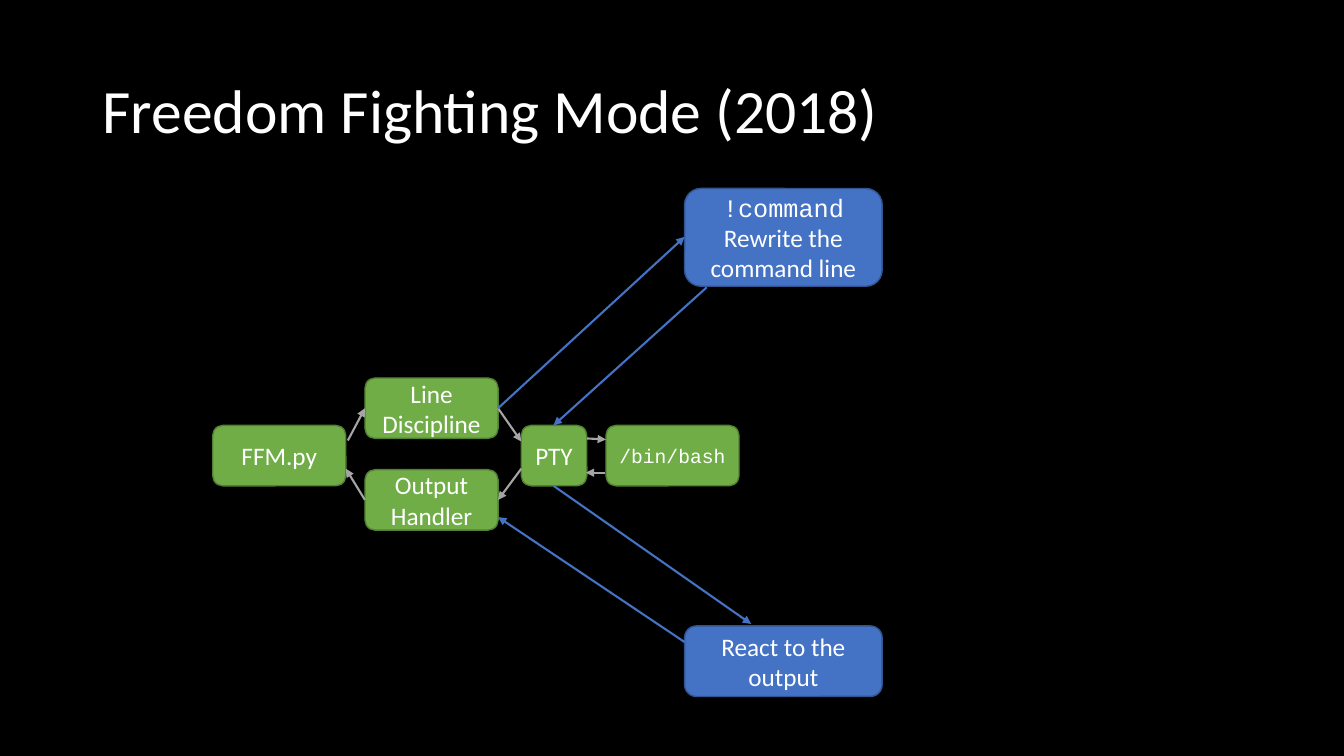
from lxml import etree
from pptx import Presentation
from pptx.dml.color import RGBColor
from pptx.enum.shapes import MSO_CONNECTOR, MSO_SHAPE
from pptx.enum.text import MSO_ANCHOR, PP_ALIGN
from pptx.oxml.ns import qn
from pptx.util import Inches, Pt

ROUND = MSO_SHAPE.ROUNDED_RECTANGLE
LINE = MSO_CONNECTOR.STRAIGHT
MIDDLE = MSO_ANCHOR.MIDDLE
CENTER = PP_ALIGN.CENTER
SANS = "Calibri"
MONO = "Courier New"
COLORS = {
    "black": "000000",
    "white": "FFFFFF",
    "green": "70AD47",
    "green edge": "538035",
    "blue": "4472C4",
    "blue edge": "325491",
    "gray": "A5A5A5",
}


def color(name):
    return RGBColor.from_string(COLORS[name])


def style(para, size, face):
    para.font.size = Pt(size)
    para.font.name = face
    para.font.color.rgb = color("white")


def add_title(slide, text):
    box = slide.shapes.add_textbox(Inches(0.92), Inches(0.4), Inches(11.5), Inches(1.45))
    frame = box.text_frame
    frame.word_wrap = True
    frame.vertical_anchor = MIDDLE
    para = frame.paragraphs[0]
    para.text = text
    para.line_spacing = 0.9
    style(para, 44, SANS)


def add_node(slide, place, hue, *lines):
    shape = slide.shapes.add_shape(ROUND, *map(Inches, place))
    shape.shadow.inherit = False
    shape.fill.solid()
    shape.fill.fore_color.rgb = color(hue)
    shape.line.color.rgb = color(hue + " edge")
    shape.line.width = Pt(1)
    frame = shape.text_frame
    frame.word_wrap = True
    frame.vertical_anchor = MIDDLE
    for i, (text, size, face) in enumerate(lines):
        para = frame.add_paragraph() if i else frame.paragraphs[0]
        para.text = text
        para.alignment = CENTER
        style(para, size, face)


def add_arrow(slide, hue, *ends):
    wire = slide.shapes.add_connector(LINE, *map(Inches, ends))
    wire.line.color.rgb = color(hue)
    wire.line.width = Pt(1.5)
    props = wire.line._get_or_add_ln()
    etree.SubElement(props, qn("a:tailEnd"), type="triangle")
    etree.SubElement(wire._element.spPr, qn("a:effectLst"))


def main():
    deck = Presentation()
    deck.slide_width = Inches(13.33)
    deck.slide_height = Inches(7.5)
    slide = deck.slides.add_slide(deck.slide_layouts[6])
    slide.background.fill.solid()
    slide.background.fill.fore_color.rgb = color("black")

    add_title(slide, "Freedom Fighting Mode (2018)")

    wide, high = 1.32, 0.6
    for left, top, width, text, size, face in (
        (2.11, 4.22, wide, "FFM.py", 18, SANS),
        (3.62, 3.75, wide, "Line Discipline", 18, SANS),
        (6.01, 4.22, wide, "/bin/bash", 14, MONO),
        (5.17, 4.22, 0.65, "PTY", 18, SANS),
        (3.62, 4.66, wide, "Output Handler", 18, SANS),
    ):
        add_node(slide, (left, top, width, high), "green", (text, size, face))

    add_node(slide, (6.79, 1.87, 1.96, 0.97), "blue",
             ("!command", 18, MONO), ("Rewrite the command line", 18, SANS))
    add_node(slide, (6.79, 6.21, 1.96, 0.7), "blue", ("React to the output", 18, SANS))

    for ends in (
        (3.45, 4.37, 3.62, 4.05),
        (4.94, 4.05, 5.17, 4.38),
        (5.82, 4.35, 6.01, 4.36),
        (6, 4.69, 5.81, 4.69),
        (5.17, 4.65, 4.94, 4.96),
        (3.62, 4.96, 3.43, 4.65),
    ):
        add_arrow(slide, "gray", *ends)

    for ends in (
        (4.94, 4.05, 6.79, 2.35),
        (7.01, 2.85, 5.49, 4.22),
        (5.49, 4.82, 7.45, 6.19),
        (6.79, 6.37, 4.94, 5.13),
    ):
        add_arrow(slide, "blue", *ends)

    deck.save("out.pptx")


if __name__ == "__main__":
    main()
